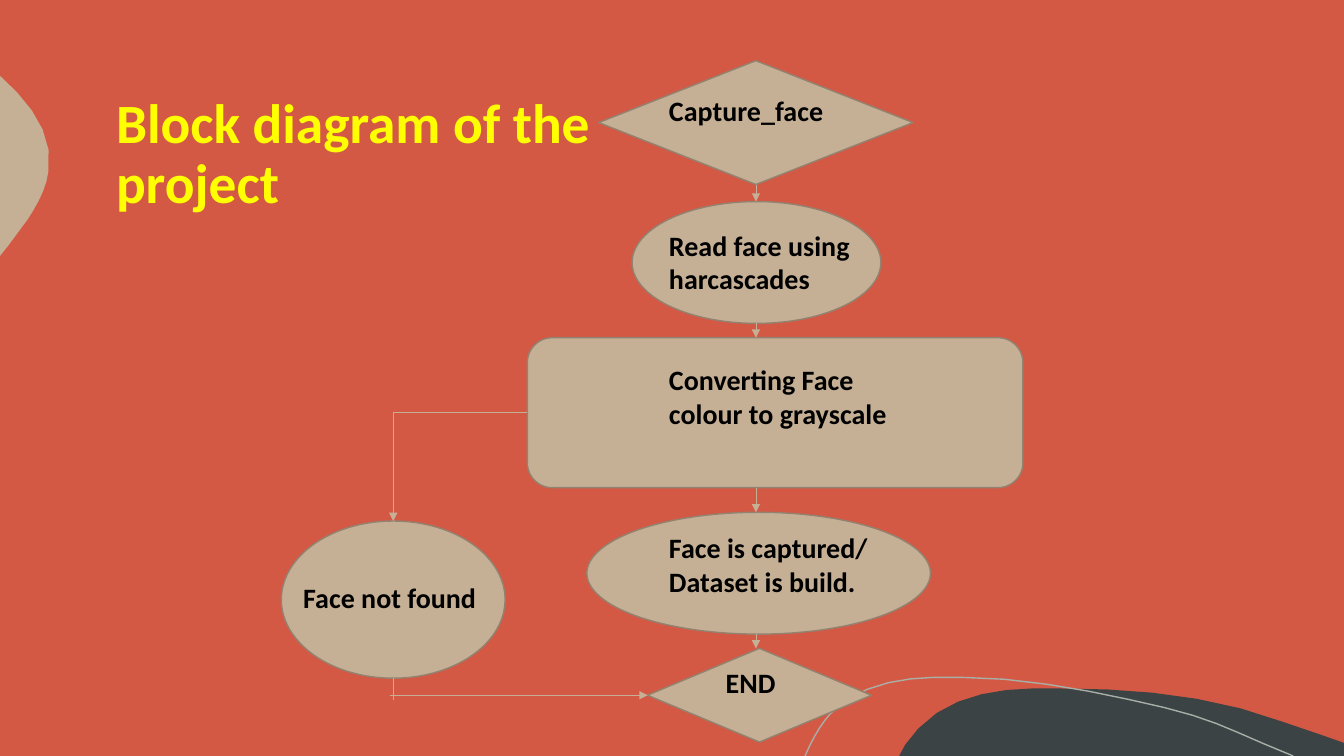
from dataclasses import dataclass
from pptx import Presentation
from pptx.util import Cm, Pt
from pptx.dml.color import RGBColor as RGB
from pptx.enum.shapes import MSO_SHAPE as SHAPE, MSO_CONNECTOR as CONN
from pptx.enum.text import MSO_ANCHOR as ANCHOR, MSO_AUTO_SIZE as AUTOSIZE, PP_ALIGN as ALIGN
from pptx.oxml.ns import qn
from lxml.etree import SubElement

TITLE = "Block diagram of the project"
TITLE_FRAME = (2.67, 2.42, 13.94, 4.46)
NODES = {
    "read": (SHAPE.OVAL, 15.93, 5.08, 6.27, 3.07),
    "capture": (SHAPE.DIAMOND, 15.09, 1.53, 7.92, 3.12),
    "convert": (SHAPE.ROUNDED_RECTANGLE, 13.29, 8.51, 12.49, 3.78),
    "end": (SHAPE.DIAMOND, 16.32, 16.34, 5.64, 2.36),
    "captured": (SHAPE.OVAL, 14.79, 12.91, 8.66, 3.07),
    "missing": (SHAPE.OVAL, 7.09, 13.13, 5.64, 3.96),
}
STEPS_FRAME = (16.61, 2.24, 6.32, 15.65)
STEPS = [
    ("Capture_face", 0, 0),
    ("Read face using harcascades", 3, 0),
    ("Converting Face colour to grayscale", 2, 0),
    ("Face is captured/", 3, 0),
    ("Dataset is build.", 0, 0),
    ("END", 2, 1.43),
]
MISSING_FRAME = (7.39, 14.5, 6.05, 1.11)
MISSING = [("Face not found", 0, 0)]
TOP, LEFT, BOTTOM = 0, 1, 2
SPINE, BRANCH = 19.05, 9.91
LINKS = [
    (("capture", BOTTOM), (SPINE, 5.08), True),
    ((SPINE, 8.15), (SPINE, 8.51), True),
    (("convert", LEFT), (BRANCH, 10.4), False),
    ((BRANCH, 10.41), ("missing", TOP), True),
    ((SPINE, 12.29), (SPINE, 12.91), True),
    ((SPINE, 15.98), (SPINE, 16.34), True),
    (("missing", BOTTOM), (BRANCH, 17.65), False),
    ((9.83, 17.52), ("end", LEFT), True),
]
HILL = [
    (26.77, 17.35),
    (28.65, 17.35, 30.58, 17.53, 32.33, 18.19),
    (33.3, 18.52), (33.87, 18.72), (33.87, 19.05), (22.66, 19.05), (22.81, 18.77),
    (23.14, 18.36),
    (23.85, 17.6, 24.94, 17.37, 25.98, 17.35),
]
BUMP = [
    (0, 1.91),
    (0.76, 2.59, 1.37, 3.38, 1.22, 4.32),
    (1.17, 4.75, 0.94, 5.16, 0.69, 5.54),
    (0.2, 6.2), (0, 6.45),
]
SWEEP = [
    (20.29, 19.05),
    (20.47, 18.62, 20.68, 18.26, 20.93, 17.98),
    (21.59, 17.3, 22.58, 17.09, 23.52, 17.07),
    (24.26, 17.07),
    (25.96, 17.07, 27.94, 17.5, 29.34, 17.83),
    (30.71, 18.16, 31.14, 18.47, 32.59, 19.05),
]


@dataclass
class Theme:
    back: RGB = RGB(0xD3, 0x59, 0x45)
    sand: RGB = RGB(0xC5, 0xB0, 0x96)
    edge: RGB = RGB(0x92, 0x82, 0x6F)
    dark: RGB = RGB(0x3B, 0x43, 0x45)
    grey: RGB = RGB(0xA9, 0xAE, 0xA7)
    title: RGB = RGB(0xFF, 0xFF, 0x00)
    text: RGB = RGB(0, 0, 0)
    font: str = "Calibri"
    title_size: float = 39.6
    label_size: float = 20
    row: float = 24
    outline: float = 1
    link: float = 0.5


theme = Theme()


def paint(sp, fill=None, line=None):
    sp.shadow.inherit = False
    if fill is None:
        sp.fill.background()
    else:
        sp.fill.solid()
        sp.fill.fore_color.rgb = fill
    if line is None:
        sp.line.fill.background()
    else:
        sp.line.color.rgb = line
        sp.line.width = Pt(theme.outline)


def style_text(p, size, color):
    p.alignment = ALIGN.LEFT
    for r in p.runs:
        r.font.name = theme.font
        r.font.size = Pt(size)
        r.font.bold = True
        r.font.color.rgb = color


def trace(steps, samples=5):
    points = [steps[0]]
    for step in steps[1:]:
        if len(step) == 2:
            points.append(step)
            continue
        start, c1, c2, end = points[-1], step[:2], step[2:4], step[4:]
        for i in range(1, samples + 1):
            t = i / samples
            u = 1 - t
            points.append(tuple(
                u**3 * a + 3 * u * u * t * b + 3 * u * t * t * c + t**3 * d
                for a, b, c, d in zip(start, c1, c2, end)))
    return [(Cm(x), Cm(y)) for x, y in points]


def add_outline(s, steps, fill=None, line=None):
    points = trace(steps)
    builder = s.shapes.build_freeform(*points[0])
    builder.add_line_segments(points[1:], close=fill is not None)
    paint(builder.convert_to_shape(), fill, line)


def locate(end):
    if end[0] not in NODES:
        return end
    name, site = end
    kind, x, y, w, h = NODES[name]
    return {TOP: (x + w / 2, y), LEFT: (x, y + h / 2), BOTTOM: (x + w / 2, y + h)}[site]


def add_link(s, shapes, start, end, arrow):
    (x1, y1), (x2, y2) = locate(start), locate(end)
    link = s.shapes.add_connector(CONN.STRAIGHT, Cm(x1), Cm(y1), Cm(x2), Cm(y2))
    for join, (name, site) in ((link.begin_connect, start), (link.end_connect, end)):
        if name in NODES and NODES[name][0] != SHAPE.OVAL:
            join(shapes[name], site)
    link.line.color.rgb = theme.sand
    link.line.width = Pt(theme.link)
    if arrow:
        SubElement(link.line._get_or_add_ln(), qn("a:tailEnd"), type="triangle")
    SubElement(link._element.spPr, qn("a:effectLst"))


def add_labels(s, frame, labels):
    tf = s.shapes.add_textbox(*map(Cm, frame)).text_frame
    tf.word_wrap = True
    tf.text = "\n".join(text for text, rows, indent in labels)
    for p, (text, rows, indent) in zip(tf.paragraphs, labels):
        p.space_before = Pt(rows * theme.row)
        style_text(p, theme.label_size, theme.text)
        if indent:
            p._p.get_or_add_pPr().set("marL", str(Cm(indent)))


def add_title(s):
    sp = s.shapes.title
    sp.left, sp.top, sp.width, sp.height = map(Cm, TITLE_FRAME)
    tf = sp.text_frame
    tf.text = TITLE
    tf.word_wrap = True
    tf.auto_size = AUTOSIZE.NONE
    tf.vertical_anchor = ANCHOR.TOP
    tf.margin_top = 0
    tf.paragraphs[0].line_spacing = 0.9
    style_text(tf.paragraphs[0], theme.title_size, theme.title)


def main():
    prs = Presentation()
    prs.slide_width, prs.slide_height = Cm(33.87), Cm(19.05)
    s = prs.slides.add_slide(prs.slide_layouts[5])
    s.background.fill.solid()
    s.background.fill.fore_color.rgb = theme.back
    add_outline(s, HILL, fill=theme.dark)
    add_outline(s, BUMP, fill=theme.sand)
    add_outline(s, SWEEP, line=theme.grey)
    add_title(s)
    shapes = {}
    for name, (kind, *frame) in NODES.items():
        shapes[name] = s.shapes.add_shape(kind, *map(Cm, frame))
        paint(shapes[name], theme.sand, theme.edge)
    add_labels(s, STEPS_FRAME, STEPS)
    for link in LINKS:
        add_link(s, shapes, *link)
    add_labels(s, MISSING_FRAME, MISSING)
    prs.save("out.pptx")


if __name__ == "__main__":
    main()
